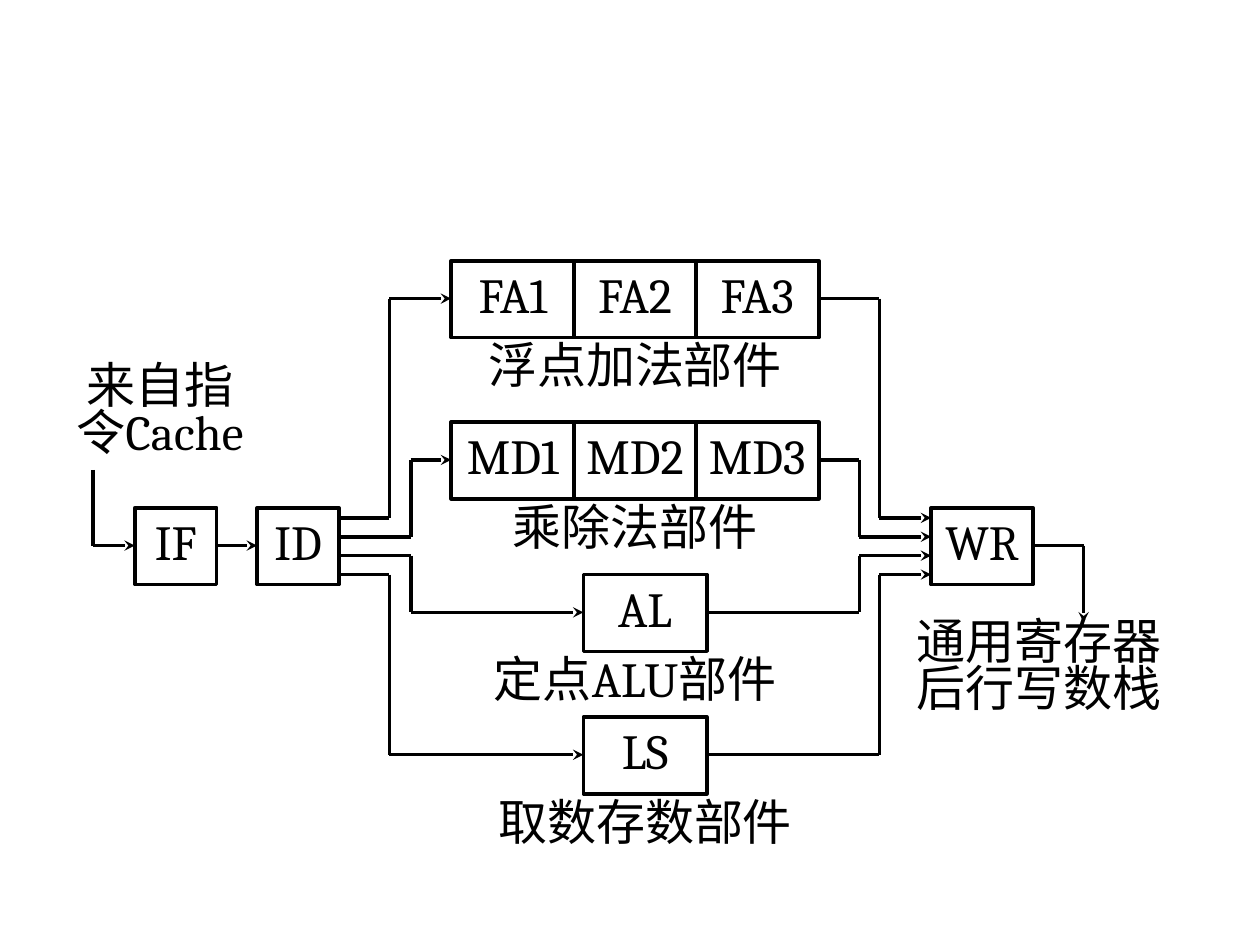
from itertools import pairwise

from lxml import etree
from pptx import Presentation
from pptx import util as u
from pptx.dml.color import RGBColor
from pptx.enum import shapes, text
from pptx.oxml import ns

BLACK = RGBColor(0x00, 0x00, 0x00)
LINE_WIDTH = u.Pt(2)
STAGE_HEIGHT = 0.61
UNIT_WIDTH = 0.98
PIPE_LEFT, PIPE_STEP, PIPE_RIGHT = 3.58, 0.97, 6.5
SINGLE_LEFT = 4.63
ID_RIGHT, WR_LEFT = 2.69, 7.39
MIDDLE = 4.33  # height of the main flow


def add_span(para, words):
    span = para.add_run()
    span.text = words
    span.font.size = u.Pt(28)
    span.font.name = "Cambria"
    span.font.color.rgb = BLACK


def fill_text(box, paragraphs):
    """Centre the paragraphs; each is a list of lines."""
    frame = box.text_frame
    frame.word_wrap = False
    frame.margin_left = frame.margin_right = u.Inches(0.08)
    frame.margin_top = frame.margin_bottom = u.Inches(0.04)
    frame.vertical_anchor = text.MSO_ANCHOR.MIDDLE
    for index, lines in enumerate(paragraphs):
        para = frame.add_paragraph() if index else frame.paragraphs[0]
        para.alignment = text.PP_ALIGN.CENTER
        para.line_spacing = 0.8
        for number, line in enumerate(lines):
            if number:
                para.add_line_break()
            add_span(para, line)


def add_stage(slide, name, left, top, width):
    box = slide.shapes.add_shape(
        shapes.MSO_SHAPE.RECTANGLE, u.Inches(left), u.Inches(top),
        u.Inches(width), u.Inches(STAGE_HEIGHT))
    box.shadow.inherit = False
    box.fill.background()
    box.line.color.rgb = BLACK
    box.line.width = LINE_WIDTH
    fill_text(box, [[name]])


def add_label(slide, paragraphs, left, top, width, height):
    box = slide.shapes.add_textbox(
        u.Inches(left), u.Inches(top), u.Inches(width), u.Inches(height))
    fill_text(box, paragraphs)


def add_route(slide, *points):
    """Join the points with straight lines, with an arrowhead at the end."""
    for start, end in pairwise(points):
        line = slide.shapes.add_connector(
            shapes.MSO_CONNECTOR.STRAIGHT,
            *(u.Inches(value) for value in start + end))
        line.line.color.rgb = BLACK
        line.line.width = LINE_WIDTH
        properties = line._element.spPr
        etree.SubElement(properties, ns.qn("a:effectLst"))
        if end == points[-1]:
            outline = properties.find(ns.qn("a:ln"))
            etree.SubElement(outline, ns.qn("a:tailEnd"), type="stealth")


def add_unit(slide, stages, top, caption, caption_left, port, bends):
    """Draw one functional unit and its routes from ID and to WR."""
    pipelined = len(stages) > 1
    left = PIPE_LEFT if pipelined else SINGLE_LEFT
    right = PIPE_RIGHT if pipelined else SINGLE_LEFT + UNIT_WIDTH
    for index, name in enumerate(stages):
        add_stage(slide, name, left + index * PIPE_STEP, top, UNIT_WIDTH)
    add_label(slide, [[caption]], caption_left, top + 0.6, 2.92, 0.53)
    level = top + 0.3
    bend_in, bend_out = bends
    add_route(slide, (ID_RIGHT, port), (bend_in, port),
              (bend_in, level), (left, level))
    add_route(slide, (right, level), (bend_out, level),
              (bend_out, port), (WR_LEFT, port))


def main():
    deck = Presentation()
    deck.slide_width, deck.slide_height = u.Inches(10), u.Inches(7.5)
    slide = deck.slides.add_slide(deck.slide_layouts[6])

    # Common stages
    for name, left, width in (("IF", 1.07, 0.65), ("ID", 2.04, 0.65),
                              ("WR", WR_LEFT, 0.81)):
        add_stage(slide, name, left, 4.03, width)

    # Functional units, from top to bottom
    outer, inner = (3.09, 6.98), (3.26, 6.82)
    units = (
        (("FA1", "FA2", "FA3"), 2.07, "浮点加法部件", 3.58, outer),
        (("MD1", "MD2", "MD3"), 3.35, "乘除法部件", 3.58, inner),
        (("AL",), 4.56, "定点ALU部件", 3.58, inner),
        (("LS",), 5.69, "取数存数部件", 3.66, outer),
    )
    for index, (stages, top, caption, left, bends) in enumerate(units):
        add_unit(slide, stages, top, caption, left, 4.11 + index * 0.15, bends)

    # Main flow in, between IF and ID, and out
    add_route(slide, (0.74, 3.73), (0.74, MIDDLE), (1.07, MIDDLE))
    add_route(slide, (1.72, MIDDLE), (2.04, MIDDLE))
    add_route(slide, (8.2, MIDDLE), (8.6, MIDDLE), (8.6, 4.94))
    add_label(slide, [["来自指", "令Cache"]], 0.46, 2.9, 1.62, 0.75)
    add_label(slide, [["通用寄存器"], ["后行写数栈"]], 7.15, 4.86, 2.19, 0.9)

    deck.save("out.pptx")


if __name__ == "__main__":
    main()
